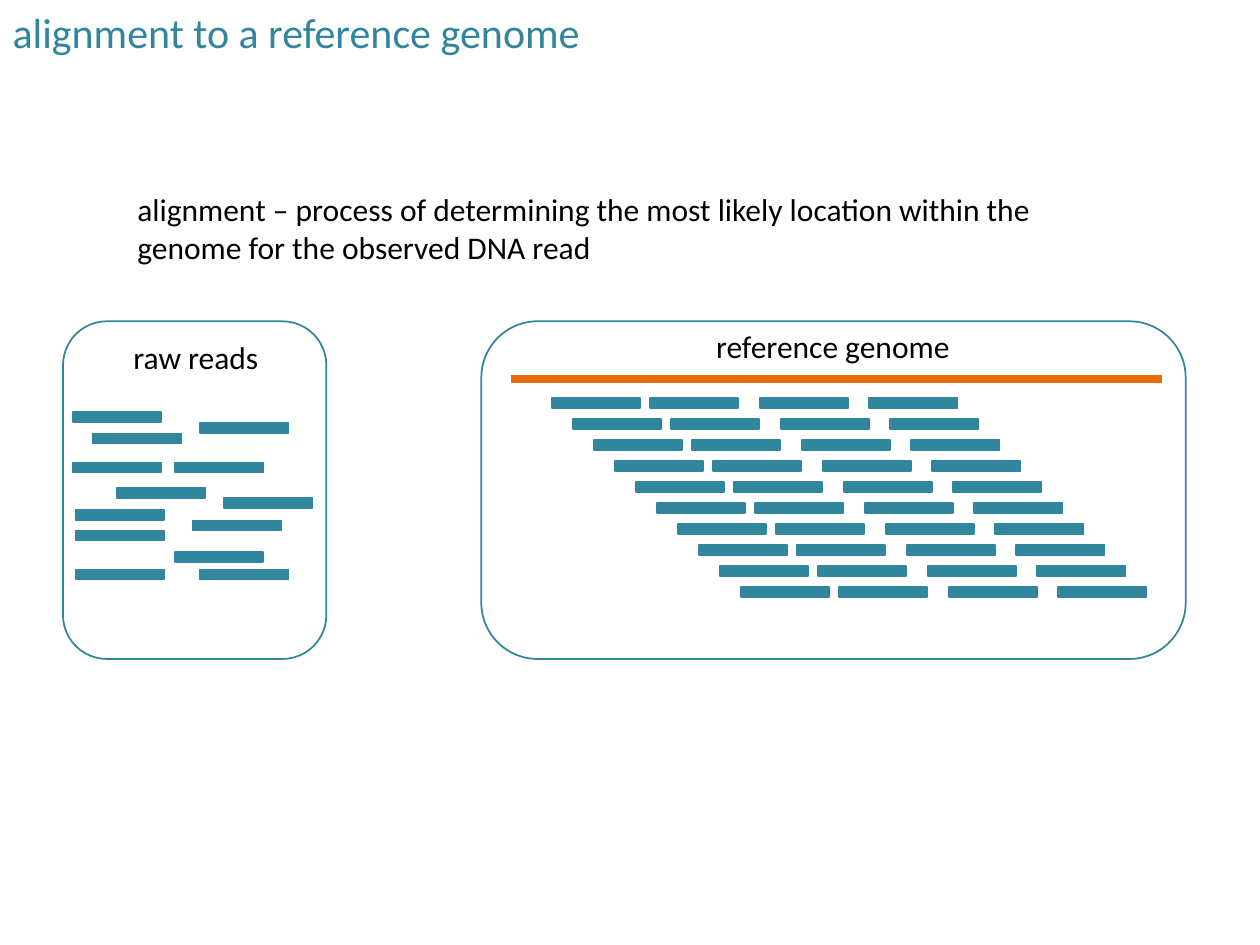
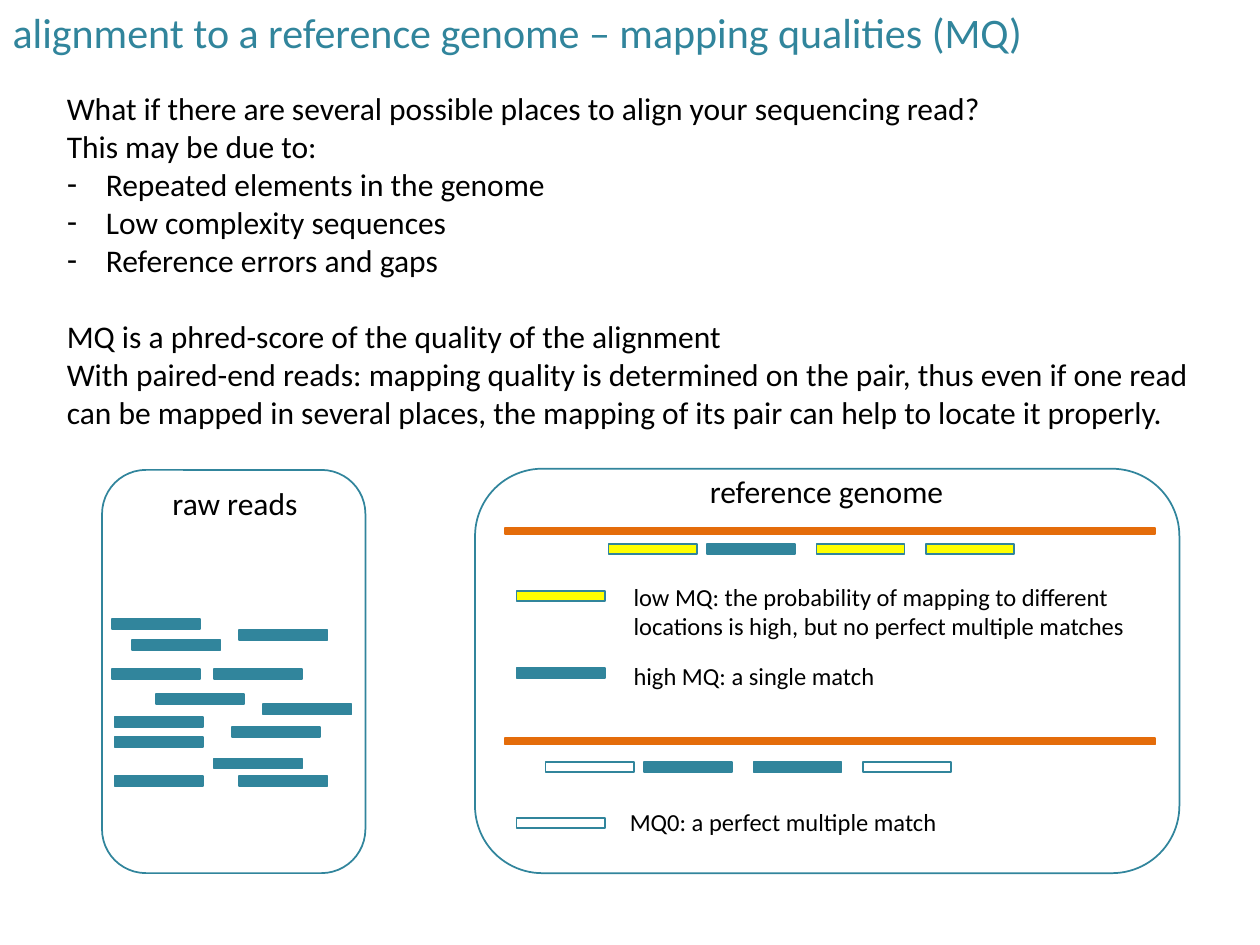
import pptx
import pptx.dml.color
import pptx.enum.shapes
import pptx.enum.text
import pptx.oxml
import pptx.oxml.ns
import pptx.util

Inches = pptx.util.Inches
Pt = pptx.util.Pt
RGB = pptx.dml.color.RGBColor
SHAPE = pptx.enum.shapes.MSO_SHAPE
ALIGN = pptx.enum.text.PP_ALIGN

TEAL = RGB(0x31, 0x85, 0x9C)
ORANGE = RGB(0xE4, 0x6C, 0x0A)
YELLOW = RGB(0xFF, 0xFF, 0x00)
WHITE = RGB(0xFF, 0xFF, 0xFF)
BLACK = RGB(0x00, 0x00, 0x00)

FRAME = {
    "word_wrap": True,
    "auto_size": pptx.enum.text.MSO_AUTO_SIZE.NONE,
    "vertical_anchor": pptx.enum.text.MSO_ANCHOR.TOP,
}
FONT = "Calibri"

# Each line of body text: (kind, words); "gap" leaves one line free above.
PAGES = [
    {
        "title": ("alignment to a reference genome", 4.75),
        "place": (0.99, 1.46, 7.78, 0.71),
        "body": [
            ("plain", "alignment – process of determining the most likely location "
                      "within the genome for the observed DNA read"),
        ],
    },
    {
        "title": ("alignment to a reference genome – mapping qualities (MQ)", 8.29),
        "place": (0.43, 0.66, 9.13, 3.13),
        "body": [
            ("plain", "What if there are several possible places to align your "
                      "sequencing read?"),
            ("plain", "This may be due to:"),
            ("dash", "Repeated elements in the genome"),
            ("dash", "Low complexity sequences"),
            ("dash", "Reference errors and gaps"),
            ("gap", "MQ is a phred-score of the quality of the alignment"),
            ("plain", "With paired-end reads: mapping quality is determined on the "
                      "pair, thus even if one read can be mapped in several places, "
                      "the mapping of its pair can help to locate it properly."),
        ],
    },
]

READ = (0.7, 0.08)
# Raw reads, measured from the first one.
RAW = [(0, 0), (0.16, 0.17), (1.01, 0.09), (0, 0.4), (0.81, 0.4), (0.35, 0.6),
       (1.2, 0.68), (0.02, 0.78), (0.95, 0.86), (0.02, 0.94), (0.81, 1.11),
       (1.01, 1.25), (0.02, 1.25)]
# Left edges of the reads in one mapped row.
MAPPED = [0, 0.78, 1.65, 2.52]
ROWS, STEP = 10, 1 / 6

# Mapped rows on the quality slide: left, top, fills.
RANKED = [
    (4.83, 4.32, [YELLOW, TEAL, YELLOW, YELLOW]),
    (4.33, 6.05, [WHITE, TEAL, TEAL, WHITE]),
]
# Legend: key top, fill, text left, text top, text height, words.
LEGEND = [
    (4.69, YELLOW, 4.93, 4.57, 0.57, "low MQ: the probability of mapping to "
     "different locations is high, but no perfect multiple matches"),
    (5.3, TEAL, 4.93, 5.2, 0.34, "high MQ: a single match"),
    (6.49, WHITE, 4.9, 6.36, 0.34, "MQ0: a perfect multiple match"),
]


def assign(thing, values):
    for name, value in values.items():
        setattr(thing, name, value)


def move(shape, place):
    names = ("left", "top", "width", "height")
    assign(shape, dict(zip(names, map(Inches, place))))


def write(para, words, size, color=BLACK, align=ALIGN.LEFT):
    run = para.add_run()
    run.text = words
    assign(run.font, {"name": FONT, "size": Pt(size)})
    run.font.color.rgb = color
    para.alignment = align


def bullet(para, kind):
    """Set a dash with a hanging indent, or clear the template's bullet."""
    props = para._p.get_or_add_pPr()
    indent = Inches(0.31) if kind == "dash" else 0
    props.set("marL", str(indent))
    props.set("indent", str(-indent))
    tag = 'a:buChar char="-"' if kind == "dash" else "a:buNone"
    space = pptx.oxml.ns.nsdecls("a")
    name, _, rest = tag.partition(" ")
    props.append(pptx.oxml.parse_xml(f"<{name} {space} {rest}/>"))


def page(deck, data):
    slide = deck.slides.add_slide(deck.slide_layouts[1])
    title, body = slide.shapes.title, slide.placeholders[1]
    words, width = data["title"]
    move(title, (0, 0, width, 0.5))
    move(body, data["place"])
    for shape in (title, body):
        assign(shape.text_frame, FRAME)
    write(title.text_frame.paragraphs[0], words, 24, TEAL)
    for count, (kind, words) in enumerate(data["body"]):
        frame = body.text_frame
        para = frame.add_paragraph() if count else frame.paragraphs[0]
        bullet(para, kind)
        para.space_before = Pt(22 if kind == "gap" else 0)
        write(para, words, 18)
    return slide


def box(group, place, fill=None, line=TEAL, form=SHAPE.RECTANGLE):
    shape = group.shapes.add_shape(form, *map(Inches, place))
    shape.shadow.inherit = False
    if fill is None:
        shape.fill.background()
    else:
        shape.fill.solid()
        shape.fill.fore_color.rgb = fill
    shape.line.color.rgb = line
    shape.line.width = Pt(1)


def read(group, left, top, fill=TEAL):
    box(group, (left, top, *READ), fill)


def label(group, place, words, size=18, align=ALIGN.LEFT):
    frame = group.shapes.add_textbox(*map(Inches, place)).text_frame
    assign(frame, FRAME)
    write(frame.paragraphs[0], words, size, align=align)


def raw(slide, left, top, height, head, first):
    """Panel of unsorted reads; head and first are the tops of label and reads."""
    group = slide.shapes.add_group_shape()
    box(group, (left, top, 2.09, height), form=SHAPE.ROUNDED_RECTANGLE)
    label(group, (left + 0.46, head, 1.21, 0.4), "raw reads")
    for across, down in RAW:
        read(group, left + 0.08 + across, first + down)


def genome(slide, left, top, height, head, bars):
    """Panel of the reference, with an orange bar at each given top."""
    group = slide.shapes.add_group_shape()
    box(group, (left, top, 5.59, height), form=SHAPE.ROUNDED_RECTANGLE)
    for bar in bars:
        box(group, (left + 0.24, bar, 5.16, 0.05), ORANGE, ORANGE)
    label(group, (left + 1.65, head, 2.28, 0.4), "reference genome",
          align=ALIGN.CENTER)
    return group


def main():
    deck = pptx.Presentation()
    assign(deck, {"slide_width": Inches(10), "slide_height": Inches(7.5)})
    basic, ranked = [page(deck, data) for data in PAGES]

    raw(basic, 0.5, 2.55, 2.68, 2.63, 3.27)
    group = genome(basic, 3.82, 2.55, 2.68, 2.55, [2.98])
    for row in range(ROWS):
        for across in MAPPED:
            read(group, 4.38 + across + row * STEP, 3.16 + row * STEP)

    raw(ranked, 0.81, 3.73, 3.2, 3.79, 4.91)
    group = genome(ranked, 3.77, 3.72, 3.21, 3.7, [4.19, 5.86])
    for left, top, fills in RANKED:
        for across, fill in zip(MAPPED, fills):
            read(group, left + across, top, fill)
    for key, fill, left, top, height, words in LEGEND:
        read(group, 4.1, key, fill)
        label(group, (left, top, 4.36, height), words, 14)

    deck.save("out.pptx")


if __name__ == "__main__":
    main()
